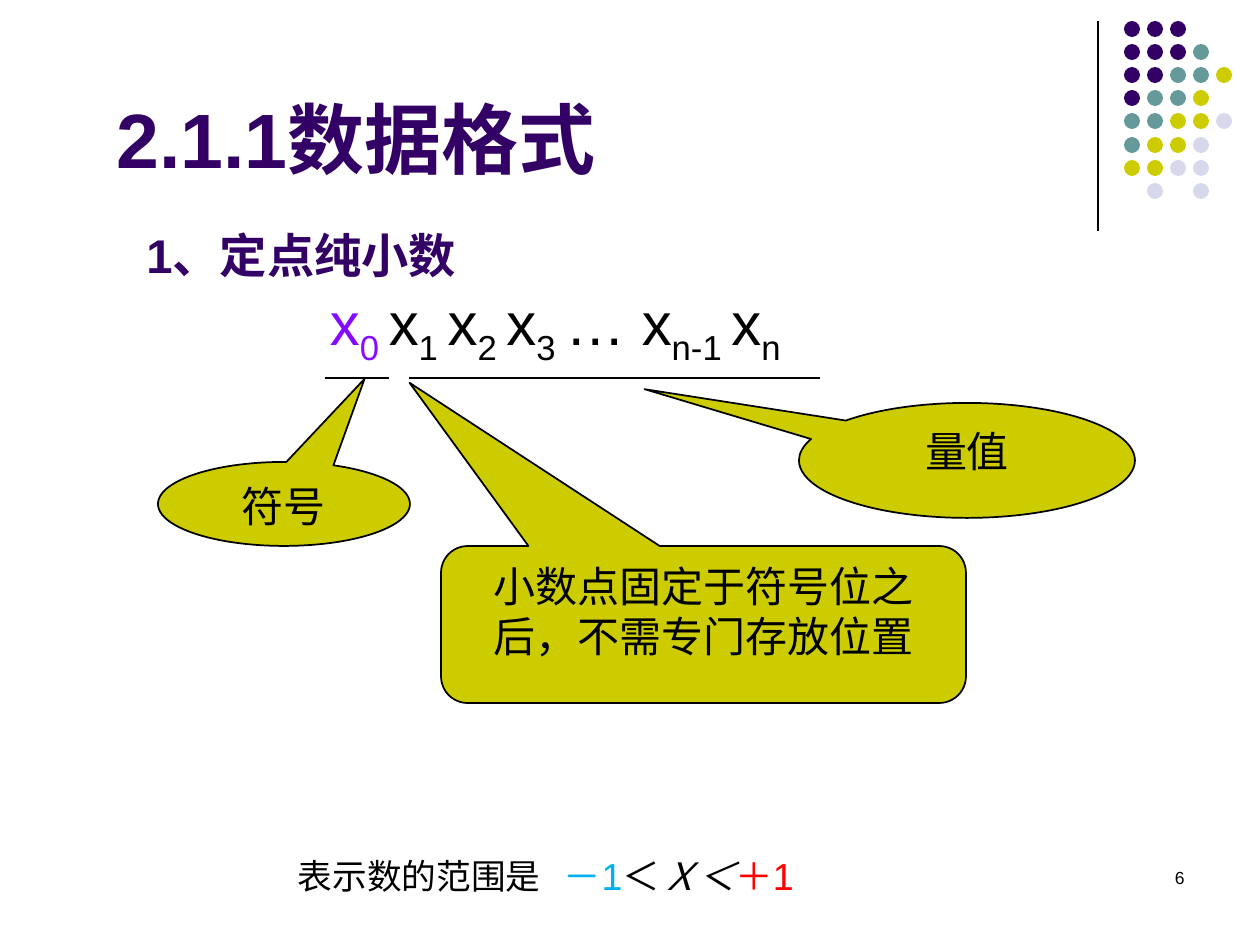
from typing import NamedTuple

from lxml.etree import SubElement
from pptx import Presentation
from pptx.dml.color import RGBColor
from pptx.enum.shapes import MSO_CONNECTOR as Link, MSO_SHAPE as Kind
from pptx.enum.text import MSO_ANCHOR as Anchor, PP_ALIGN as Align
from pptx.oxml.ns import qn
from pptx.util import Emu, Pt

SCALE = 914400 / 126  # EMU in one px
INK, PLUM, TEAL, LIME, MIST = "000000", "330066", "669999", "CCCC00", "D8D8EC"
VIOLET, SKY, RED = "850AFF", "00B0F0", "FF0000"


class Box(NamedTuple):
    x: int
    y: int
    w: int
    h: int


class Run(NamedTuple):
    text: str
    color: str = INK
    size: float = 34.2
    sub: bool = False
    slant: bool = False


class Label(NamedTuple):
    text: str
    box: Box
    size: int
    color: str = PLUM
    bold: bool = True
    align: Align = Align.LEFT
    anchor: Anchor = Anchor.TOP


class Rule(NamedTuple):
    x1: int
    y1: int
    x2: int
    y2: int
    width: float = 1


class Callout(NamedTuple):
    text: str
    kind: Kind
    box: Box
    adjust: tuple[float, ...]


def px(n: int) -> Emu:
    return Emu(round(n * SCALE))


def rgb(code: str) -> RGBColor:
    return RGBColor.from_string(code)


def place(box: Box) -> list[Emu]:
    return [px(n) for n in box]


def draw_rule(shapes, rule: Rule) -> None:
    line = shapes.add_connector(Link.STRAIGHT, *[px(n) for n in rule[:4]])
    line.line.color.rgb = rgb(INK)
    line.line.width = Pt(rule.width)
    SubElement(line._element.spPr, qn("a:effectLst"))


def draw_dot(shapes, box: Box, color: str) -> None:
    dot = shapes.add_shape(Kind.OVAL, *place(box))
    dot.shadow.inherit = False
    dot.fill.solid()
    dot.fill.fore_color.rgb = rgb(color)
    dot.line.fill.background()


def style(para, face: str, size: float, color: str, bold: bool = False) -> None:
    font = para.font
    font.name, font.size, font.bold = face, Pt(size), bold
    font.color.rgb = rgb(color)


def draw_label(shapes, label: Label) -> None:
    frame = shapes.add_textbox(*place(label.box)).text_frame
    frame.word_wrap = True
    frame.vertical_anchor = label.anchor
    para = frame.paragraphs[0]
    para.text, para.alignment = label.text, label.align
    style(para, "Arial", label.size, label.color, label.bold)


def draw_runs(shapes, box: Box, runs: list[Run], stop: int = 0) -> None:
    frame = shapes.add_textbox(*place(box)).text_frame
    frame.word_wrap = True
    frame.vertical_anchor = Anchor.MIDDLE if stop else Anchor.TOP
    frame.margin_left = frame.margin_right = 0
    frame.margin_top = frame.margin_bottom = 0
    para = frame.paragraphs[0]
    if stop:
        tabs = SubElement(para._p.get_or_add_pPr(), qn("a:tabLst"))
        SubElement(tabs, qn("a:tab"), pos=str(px(stop)), algn="l")
    para.font.name = "Arial"
    for item in runs:
        run = para.add_run()
        run.text = item.text
        font = run.font
        font.size, font.italic = Pt(item.size), item.slant
        font.color.rgb = rgb(item.color)
        if item.sub:
            run._r.get_or_add_rPr().set("baseline", "-25000")


def draw_callout(shapes, note: Callout) -> None:
    shape = shapes.add_shape(note.kind, *place(note.box))
    shape.shadow.inherit = False
    for i, value in enumerate(note.adjust):
        shape.adjustments[i] = value
    shape.fill.solid()
    shape.fill.fore_color.rgb = rgb(LIME)
    shape.line.color.rgb = rgb(INK)
    shape.line.width = Pt(1)
    frame = shape.text_frame
    frame.word_wrap = True
    frame.vertical_anchor = Anchor.TOP
    para = frame.paragraphs[0]
    para.text, para.alignment = note.text, Align.CENTER
    # Keep the comma inside the line
    para._p.get_or_add_pPr().set("hangingPunct", "0")
    style(para, "Times New Roman", 24, INK)


# Dot grid, one letter a dot
HUES = {"P": PLUM, "T": TEAL, "L": LIME, "M": MIST}
DOTS = ["PPP", "PPPT", "PPTTL", "PTTL", "TTLLM", "TLLM", "LLMM", " M M"]
STEP, SIZE = 23, 16

RULES = [
    Rule(1098, 21, 1098, 231, 0.75),
    Rule(325, 378, 389, 378),
    Rule(409, 378, 820, 378),
]
LABELS = [
    Label("2.1.1数据格式", Box(104, 85, 717, 106), 44),
    Label("1、定点纯小数", Box(134, 205, 486, 84), 27, anchor=Anchor.BOTTOM),
    Label("6", Box(903, 861, 294, 63), 10, INK, False, Align.RIGHT),
]
CALLOUTS = [
    Callout("符号", Kind.OVAL_CALLOUT, Box(158, 462, 252, 84), (0.32, -1.49)),
    Callout("量值", Kind.OVAL_CALLOUT, Box(799, 403, 336, 115), (-0.96, -0.62)),
    Callout("小数点固定于符号位之后，不需专门存放位置",
            Kind.ROUNDED_RECTANGULAR_CALLOUT, Box(441, 546, 525, 157),
            (-0.56, -1.54, 0.17)),
]

# Digits x0 to xn, then the range of values
TERMS = [("x", "0 "), ("x", "1 "), ("x", "2 "), ("x", "3 "),
         ("… x", "n-1 "), ("x", "n")]
DIGITS = [Run(text, INK if i else VIOLET, sub=bool(k))
          for i, term in enumerate(TERMS) for k, text in enumerate(term)]
RANGE = [
    Run("表示数的范围是\t", sub=True),
    Run("－1", SKY, 37, True),
    Run("＜", INK, 37, True),
    Run("Ｘ＜", INK, 37, True, True),
    Run("＋1", RED, 37, True),
]


def main() -> None:
    deck = Presentation()
    deck.slide_width, deck.slide_height = px(1260), px(945)
    shapes = deck.slides.add_slide(deck.slide_layouts[6]).shapes

    # Corner ornament
    group = shapes.add_group_shape().shapes
    for row, line in enumerate(DOTS):
        for col, key in enumerate(line):
            if key in HUES:
                spot = Box(1124 + col * STEP, 21 + row * 116 // 5, SIZE, SIZE)
                draw_dot(group, spot, HUES[key])

    # Text, rules and callouts
    for label in LABELS:
        draw_label(shapes, label)
    draw_runs(shapes, Box(330, 286, 800, 76), DIGITS)
    draw_runs(shapes, Box(298, 819, 700, 70), RANGE, 266)
    for rule in RULES:
        draw_rule(shapes, rule)
    for note in CALLOUTS:
        draw_callout(shapes, note)

    deck.save("out.pptx")


if __name__ == "__main__":
    main()
